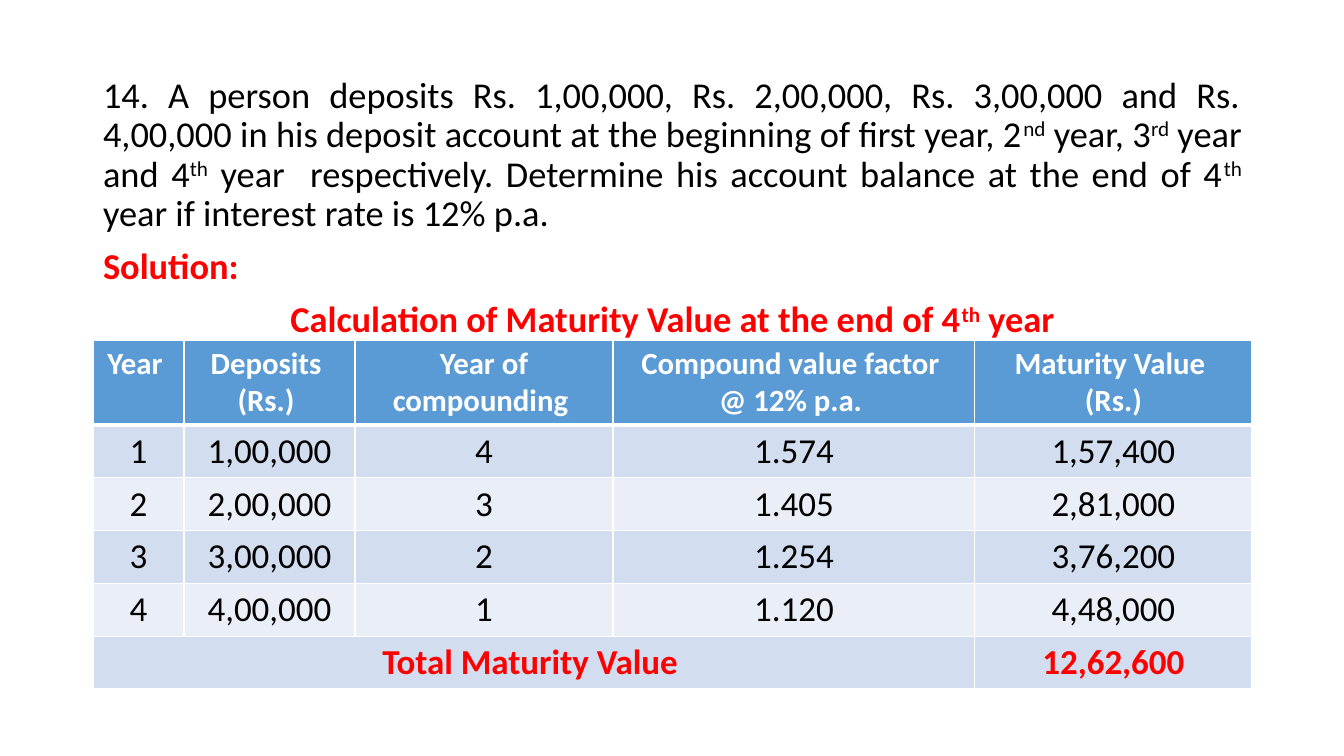
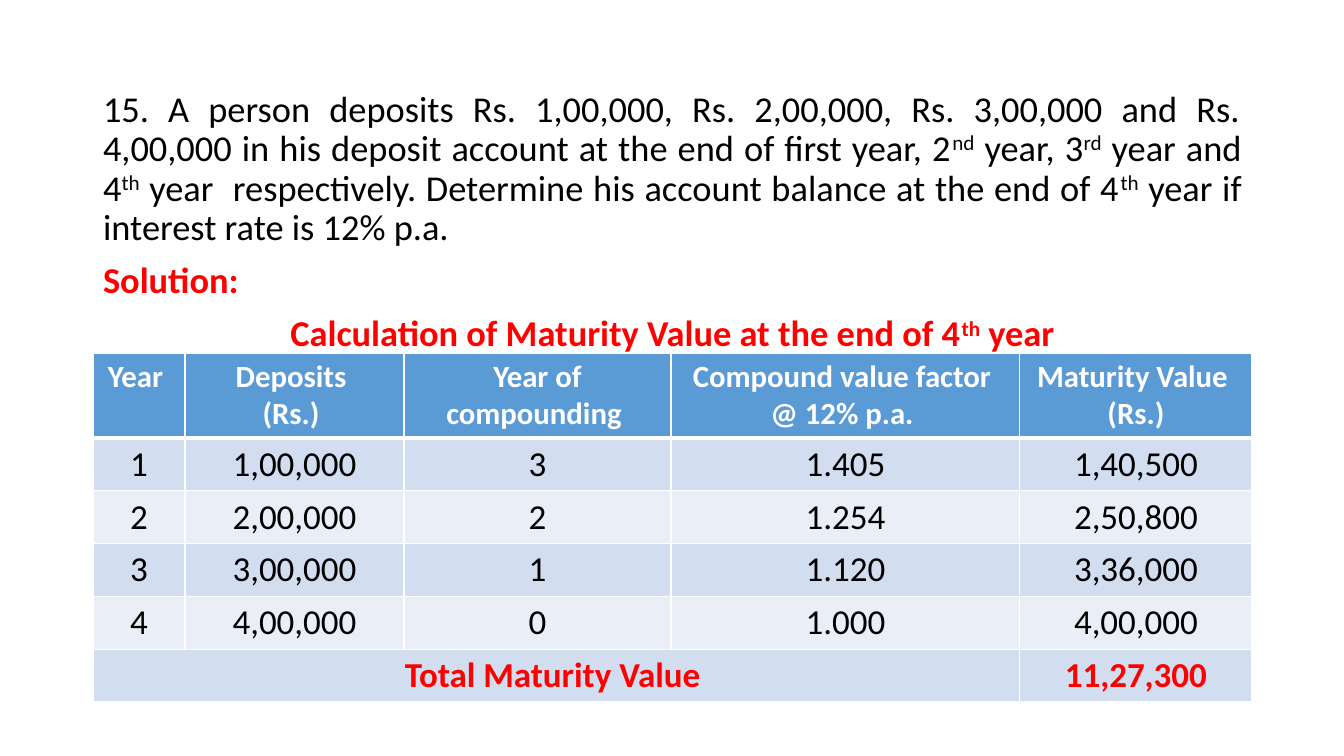
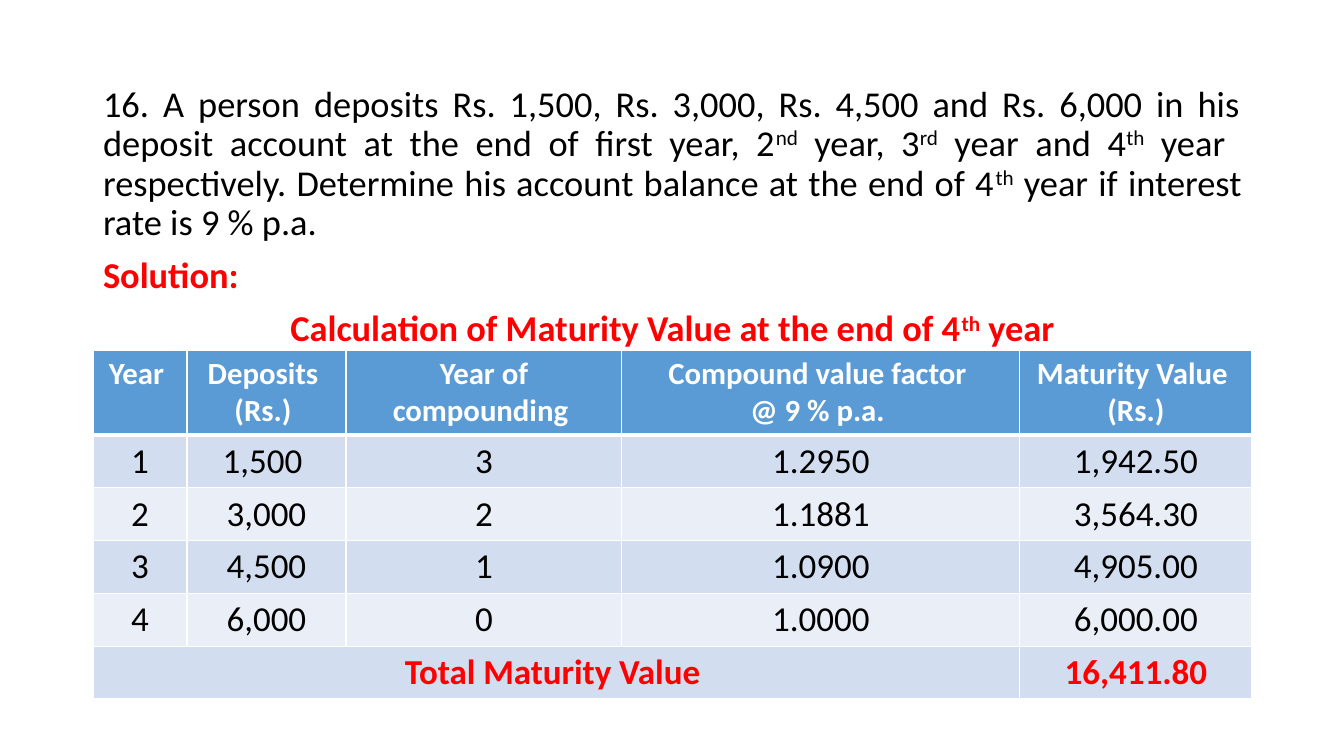
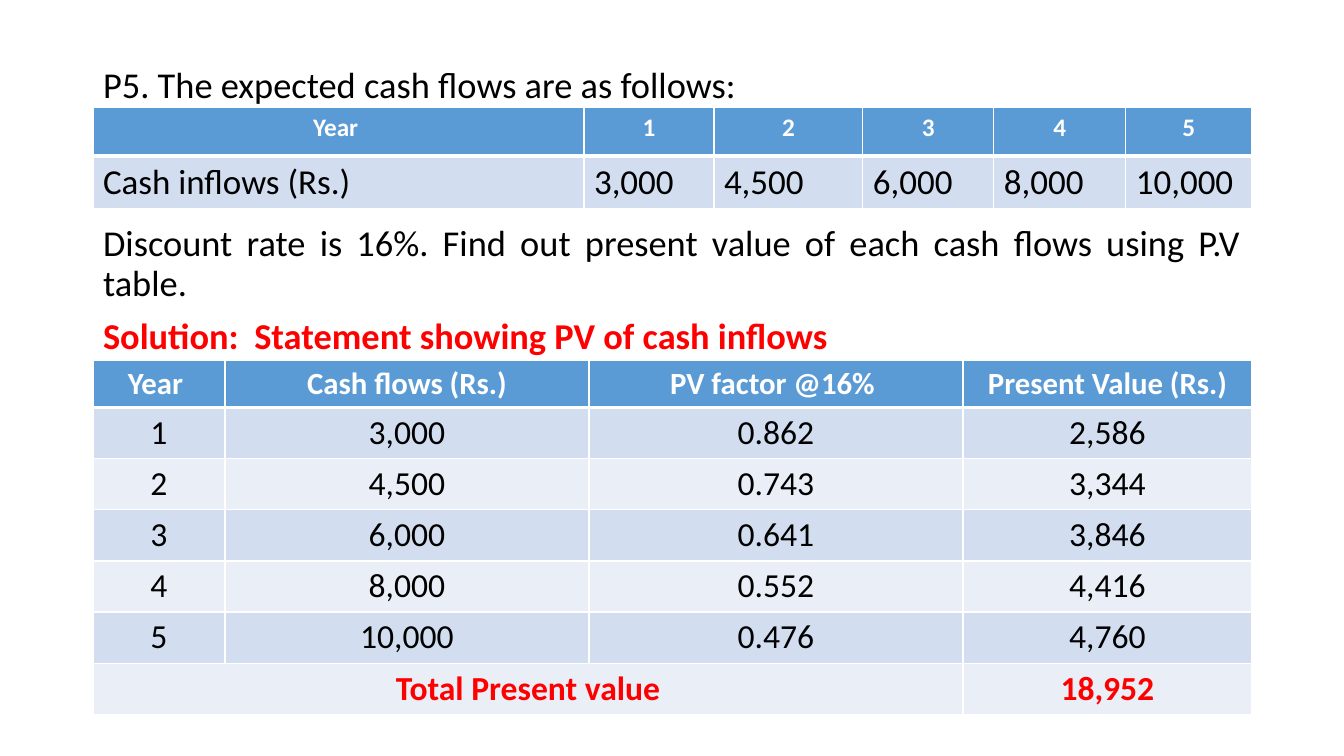
"""Build four slides of worked time-value-of-money problems."""
from lxml.etree import SubElement
from pptx import Presentation
from pptx.dml.color import RGBColor as RGB
from pptx.enum.text import MSO_AUTO_SIZE, PP_ALIGN as AL
from pptx.oxml.ns import qn
from pptx.util import Pt

PX = 914400 / 100.8
LEFT, WIDTH = 93, 1159
FONT = "Calibri"
TEXT_PT = 26
COLORS = {"text": "000000", "accent": "FF0000", "white": "FFFFFF",
          "header": "5B9BD5", "odd": "D2DEEF", "even": "EAEFF7"}

QUESTION = ("{no}. A person deposits {deposits} in his deposit account at the {when} of "
            "first year, 2^nd^ year, 3^rd^ year and 4^th^ year  respectively. Determine his "
            "account balance at the end of 4^th^ year if interest rate is {rate} p.a.")
CAPTION = "Calculation of Maturity Value at the end of 4^th^ year"
LAKHS = "Rs. 1,00,000, Rs. 2,00,000, Rs. 3,00,000 and Rs. 4,00,000"
MATURITY_HEADER = ["Year ", "Deposits \n(Rs.) ", "Year of compounding ",
                   "Compound value factor \n@ {rate} p.a. ", "Maturity Value \n(Rs.)"]

MATURITY_PROBLEMS = [
    {"no": 14, "deposits": LAKHS, "when": "beginning", "rate": "12%",
     "box": (72, 609), "top": 340, "cols": [91, 171, 258, 362, 277],
     "rows": [["1", "1,00,000", "4", "1.574", "1,57,400"],
              ["2", "2,00,000", "3", "1.405", "2,81,000"],
              ["3", "3,00,000", "2", "1.254", "3,76,200"],
              ["4", "4,00,000", "1", "1.120", "4,48,000"]],
     "total": "12,62,600"},
    {"no": 15, "deposits": LAKHS, "when": "end", "rate": "12%",
     "box": (86, 612), "top": 353, "cols": [92, 219, 267, 349, 232],
     "rows": [["1", "1,00,000", "3", "1.405", "1,40,500"],
              ["2", "2,00,000", "2", "1.254", "2,50,800"],
              ["3", "3,00,000", "1", "1.120", "3,36,000"],
              ["4", "4,00,000", "0", "1.000", "4,00,000"]],
     "total": "11,27,300"},
    {"no": 16, "deposits": "Rs. 1,500, Rs. 3,000, Rs. 4,500 and Rs. 6,000",
     "when": "end", "rate": "9 %",
     "box": (81, 613), "top": 350, "cols": [94, 159, 276, 398, 232],
     "rows": [["1", "1,500 ", "3", "1.2950", "1,942.50"],
              ["2", "3,000", "2", "1.1881", "3,564.30"],
              ["3", "4,500", "1", "1.0900", "4,905.00"],
              ["4", "6,000", "0", "1.0000", "6,000.00"]],
     "total": "16,411.80"},
]

CASH_BOX = (62, 680)
CASH_TEXT = [
    ("P5. The expected cash flows are as follows:", AL.LEFT, "text", 0),
    ("Discount rate is 16%. Find out present value of each cash flows using P.V table.",
     AL.JUSTIFY, "text", 85),
    ("Solution:\tStatement showing PV of cash inflows", AL.LEFT, "accent", 10),
]
STATEMENT_TAB = 292
INFLOW_ROWS = [["Year ", "1", "2", "3", "4", "5"],
               ["Cash inflows (Rs.)", "3,000", "4,500", "6,000", "8,000", "10,000"]]
INFLOW_COLS = [491, 130, 149, 131, 132, 126]
PV_ROWS = [["Year ", "Cash flows (Rs.)", "PV factor @16% ", "Present Value (Rs.)"],
           ["1", "3,000", "0.862", "2,586"],
           ["2", "4,500", "0.743", "3,344"],
           ["3", "6,000", "0.641", "3,846"],
           ["4", "8,000", "0.552", "4,416"],
           ["5", "10,000", "0.476", "4,760"]]
PV_COLS = [132, 364, 374, 289]


def px(n):
    return round(n * PX)


def add_runs(p, text, size, color, bold):
    for i, part in enumerate(text.split("^")):
        r = p.add_run()
        r.text = part
        f = r.font
        f.name, f.size, f.bold = FONT, Pt(size), bold
        f.color.rgb = RGB.from_string(COLORS[color])
        if i % 2:
            r._r.get_or_add_rPr().set("baseline", "30000")


def add_body(s, box, paragraphs, tab=None):
    title = s.shapes.title._element
    title.getparent().remove(title)
    sp = s.placeholders[1]
    sp.left, sp.top, sp.width, sp.height = map(px, (LEFT, box[0], WIDTH, box[1]))
    tf = sp.text_frame
    tf.auto_size = MSO_AUTO_SIZE.NONE
    for i, (text, align, color, before) in enumerate(paragraphs):
        p = tf.add_paragraph() if i else tf.paragraphs[0]
        pPr = p._p.get_or_add_pPr()
        pPr.set("marL", "0")
        pPr.set("indent", "0")
        SubElement(pPr, qn("a:buNone"))
        if tab and "\t" in text:
            tabs = SubElement(pPr, qn("a:tabLst"))
            SubElement(tabs, qn("a:tab"), pos=str(px(tab)), algn="l")
        p.alignment, p.line_spacing, p.space_before = align, 0.9, Pt(before)
        add_runs(p, text, TEXT_PT, color, color == "accent")


def add_borders(cell, top, bottom):
    tcPr = cell._tc.get_or_add_tcPr()
    for side, width in (("L", 1), ("R", 1), ("T", top), ("B", bottom)):
        ln = SubElement(tcPr, qn("a:ln" + side), w=str(Pt(width)))
        fill = SubElement(ln, qn("a:solidFill"))
        SubElement(fill, qn("a:srgbClr"), val=COLORS["white"])


def add_grid(s, top, cols, rows, heights, sizes, total=None, align=AL.CENTER):
    n = len(cols)
    if total:
        rows = rows + [[total[0]] + [""] * (n - 2) + [total[1]]]
    row_px = [heights[0]] + [heights[1]] * (len(rows) - 1)
    table = s.shapes.add_table(len(rows), n, px(LEFT), px(top),
                               px(sum(cols)), px(sum(row_px))).table
    table.horz_banding = False
    for col, w in zip(table.columns, cols):
        col.width = px(w)
    for r, (row, h) in enumerate(zip(rows, row_px)):
        table.rows[r].height = px(h)
        is_total = bool(total) and r == len(rows) - 1
        color = "white" if r == 0 else "accent" if is_total else "text"
        band = "header" if r == 0 else "odd" if r % 2 else "even"
        for c, text in enumerate(row):
            cell = table.cell(r, c)
            add_borders(cell, 3 if r == 1 else 1, 3 if r == 0 else 1)
            cell.fill.solid()
            cell.fill.fore_color.rgb = RGB.from_string(COLORS[band])
            tf = cell.text_frame
            for i, line in enumerate(text.split("\n") if text else []):
                p = tf.add_paragraph() if i else tf.paragraphs[0]
                p.alignment = align if r else AL.CENTER
                add_runs(p, line, sizes[min(r, 1)], color, color != "text")
        if is_total:
            table.cell(r, 0).merge(table.cell(r, n - 2))


def main():
    prs = Presentation()
    prs.slide_width, prs.slide_height = px(1344), px(756)
    layout = prs.slide_layouts[1]
    for d in MATURITY_PROBLEMS:
        s = prs.slides.add_slide(layout)
        add_body(s, d["box"], [(QUESTION.format(**d), AL.JUSTIFY, "text", 0),
                               ("Solution:", AL.JUSTIFY, "accent", 10),
                               (CAPTION, AL.CENTER, "accent", 10)])
        header = [h.format(**d) for h in MATURITY_HEADER]
        add_grid(s, d["top"], d["cols"], [header] + d["rows"], (84, 52), (22, 25),
                 ("Total Maturity Value ", d["total"]))
    s = prs.slides.add_slide(layout)
    add_body(s, CASH_BOX, CASH_TEXT, STATEMENT_TAB)
    add_grid(s, 107, INFLOW_COLS, INFLOW_ROWS, (49, 52), (18, 25), align=AL.LEFT)
    add_grid(s, 360, PV_COLS, PV_ROWS, (47, 51), (22, 24),
             ("Total Present value", "18,952"))
    prs.save("out.pptx")


if __name__ == "__main__":
    main()
